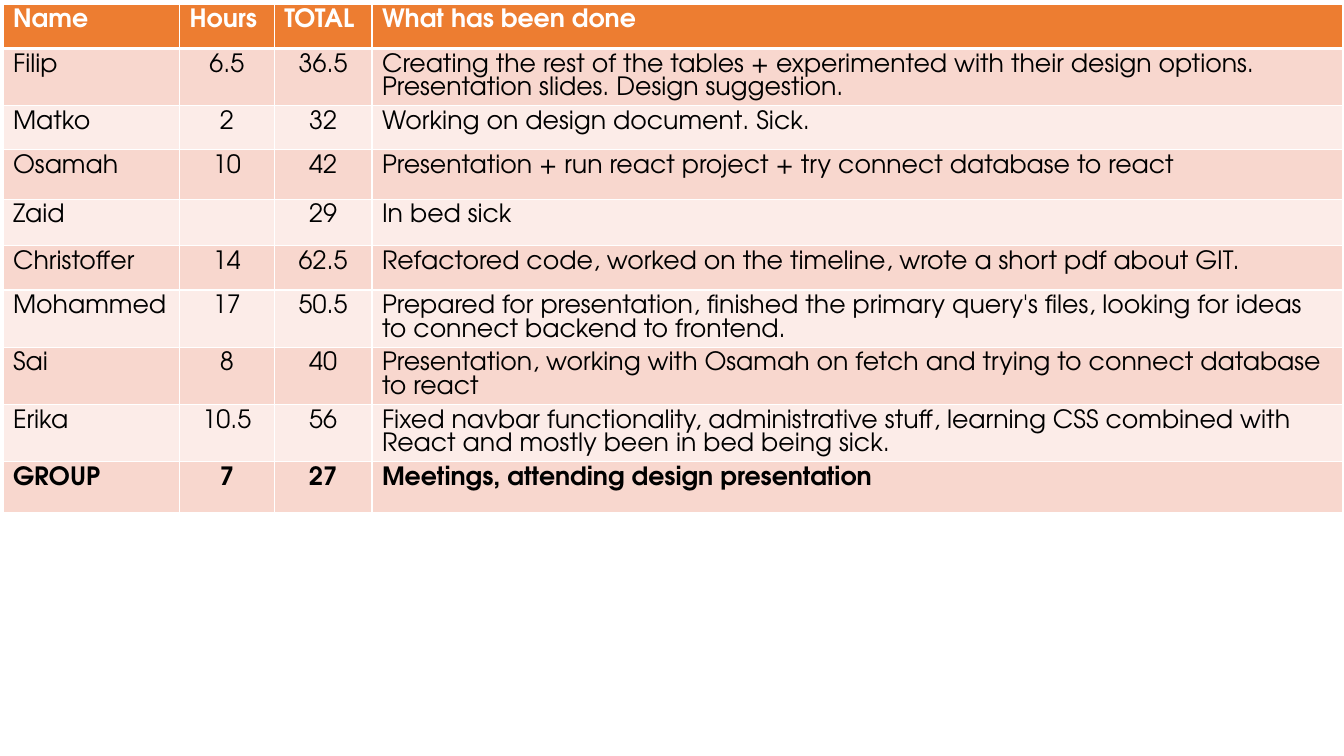
from pptx import Presentation
from pptx.dml.color import RGBColor
from pptx.enum.text import PP_ALIGN
from pptx.oxml.ns import qn
from pptx.util import Inches, Pt
from lxml import etree

CENTER = PP_ALIGN.CENTER
FONT = "TeX Gyre Adventor"
COLORS = {"header": "ED7D31", "odd": "F8D7CE", "even": "FCECE8",
          "white": "FFFFFF", "text": "000000"}

ROWS = [
    ("Name", "Hours", "TOTAL", "What has been done"),
    ("Filip", "6.5", "36.5",
     "Creating the rest of the tables + experimented with their design options. "
     "Presentation slides. Design suggestion."),
    ("Matko", "2", "32", "Working on design document. Sick."),
    ("Osamah", "10", "42",
     "Presentation + run react project + try connect database to react"),
    ("Zaid", "", "29", "In bed sick"),
    ("Christoffer", "14", "62.5",
     "Refactored code, worked on the timeline, wrote a short pdf about GIT."),
    ("Mohammed", "17", "50.5",
     "Prepared for presentation, finished the primary query's files, "
     "looking for ideas to connect backend to frontend."),
    ("Sai", "8", "40",
     "Presentation, working with Osamah on fetch and trying to connect database to react"),
    ("Erika", "10.5", "56",
     "Fixed navbar functionality, administrative stuff, learning CSS combined with "
     "React and mostly been in bed being sick."),
    ("GROUP", "7", "27", "Meetings, attending design presentation"),
]
COL_WIDTHS = (1.75, 0.94, 0.97, 9.63)
ROW_HEIGHTS = (0.44, 0.5, 0.44, 0.49, 0.46, 0.44, 0.49, 0.51, 0.51, 0.51)
LEFT, TOP = 0.03, 0.04
NUMBER_COLS = (1, 2)
LAST = len(ROWS) - 1


def set_borders(cell, widths):
    tcPr = cell._tc.get_or_add_tcPr()
    for i, (side, width) in enumerate(widths.items()):
        ln = etree.Element(qn("a:" + side), w=str(Pt(width)))
        fill = etree.SubElement(ln, qn("a:solidFill"))
        etree.SubElement(fill, qn("a:srgbClr"), val=COLORS["white"])
        tcPr.insert(i, ln)


def fill_cell(cell, text, row, col):
    header = row == 0
    band = "header" if header else "odd" if row % 2 else "even"
    cell.fill.solid()
    cell.fill.fore_color.rgb = RGBColor.from_string(COLORS[band])
    set_borders(cell, {"lnL": 1, "lnR": 1, "lnT": 3 if row == 1 else 1,
                       "lnB": 3 if header else 1})
    p = cell.text_frame.paragraphs[0]
    p.font.size = Pt(18)
    if col in NUMBER_COLS and not header:
        p.alignment = CENTER
    if text:
        r = p.add_run()
        r.text = text
        r.font.name = FONT
        r.font.size = Pt(18)
        r.font.bold = row in (0, LAST)
        r.font.color.rgb = RGBColor.from_string(COLORS["white" if header else "text"])


prs = Presentation()
prs.slide_width, prs.slide_height = Inches(13.33), Inches(7.5)
s = prs.slides.add_slide(prs.slide_layouts[6])
table = s.shapes.add_table(
    len(ROWS), len(COL_WIDTHS), Inches(LEFT), Inches(TOP),
    Inches(sum(COL_WIDTHS)), Inches(sum(ROW_HEIGHTS))).table
for column, width in zip(table.columns, COL_WIDTHS):
    column.width = Inches(width)
for table_row, height in zip(table.rows, ROW_HEIGHTS):
    table_row.height = Inches(height)
for row, values in enumerate(ROWS):
    for col, text in enumerate(values):
        fill_cell(table.cell(row, col), text, row, col)

prs.save("out.pptx")
